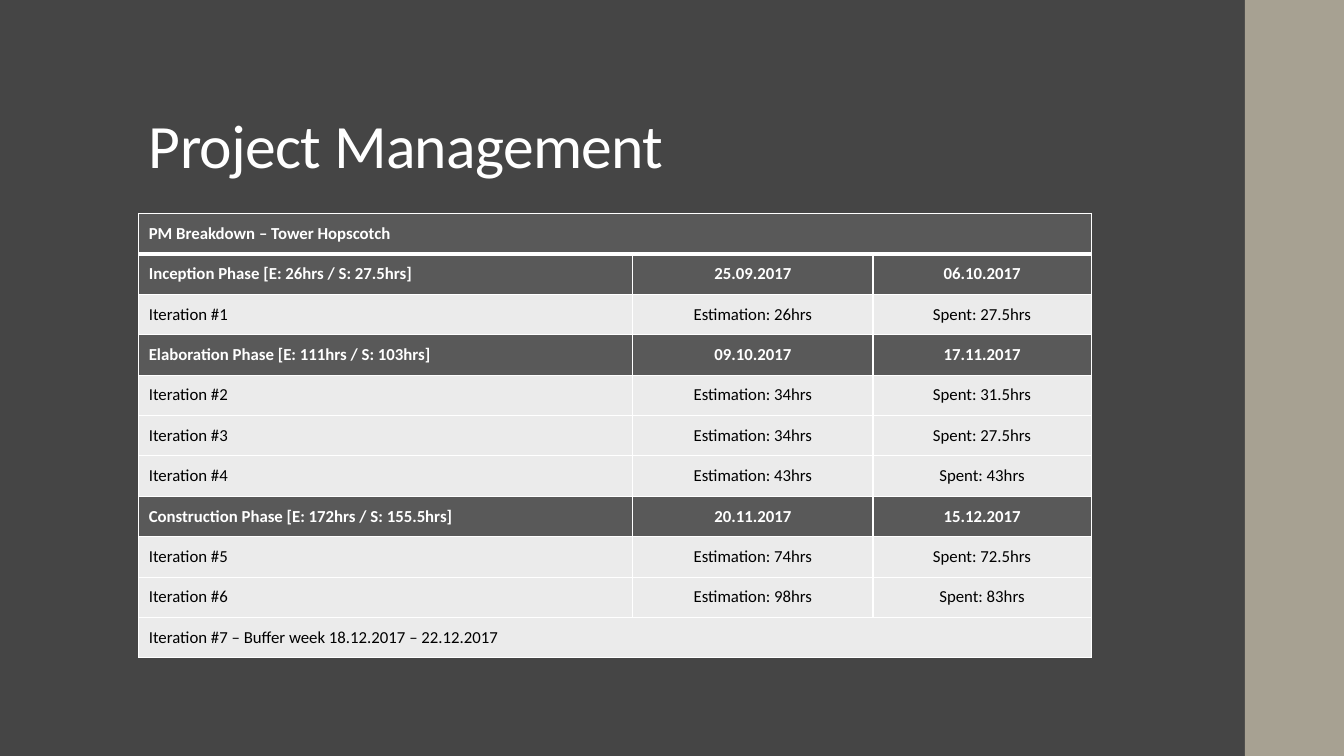
from pptx import Presentation
from pptx.dml.color import RGBColor as RGB
from pptx.enum.shapes import MSO_SHAPE as Shape
from pptx.enum.text import MSO_ANCHOR as Anchor, PP_ALIGN as Align
from pptx.oxml.ns import qn
from pptx.util import Cm, Pt
from lxml.etree import SubElement as Sub

FONT = "Calibri"
WHITE, BLACK, DARK, PALE = "FFFFFF", "000000", "595959", "EBEBEB"
BACK, SAND = "454545", "A7A192"
COLS = (12.45, 6.05, 5.5)
HEAD = {"size": Pt(12), "name": FONT, "bold": True}
BODY = {"size": Pt(12), "name": FONT, "bold": False}

# Each row: is it a heading, then its cells; one cell spans the table
ROWS = [
    (True, "PM Breakdown – Tower Hopscotch"),
    (True, "Inception Phase [E: 26hrs / S: 27.5hrs]", "25.09.2017", "06.10.2017"),
    (False, "Iteration #1", "Estimation: 26hrs", "Spent: 27.5hrs"),
    (True, "Elaboration Phase [E: 111hrs / S: 103hrs]", "09.10.2017", "17.11.2017"),
    (False, "Iteration #2", "Estimation: 34hrs", "Spent: 31.5hrs"),
    (False, "Iteration #3", "Estimation: 34hrs", "Spent: 27.5hrs"),
    (False, "Iteration #4", "Estimation: 43hrs", "Spent: 43hrs"),
    (True, "Construction Phase [E: 172hrs / S: 155.5hrs]", "20.11.2017", "15.12.2017"),
    (False, "Iteration #5", "Estimation: 74hrs", "Spent: 72.5hrs"),
    (False, "Iteration #6", "Estimation: 98hrs", "Spent: 83hrs"),
    (False, "Iteration #7 – Buffer week 18.12.2017 – 22.12.2017"),
]


def paint(fill, tone):
    fill.solid()
    fill.fore_color.rgb = RGB.from_string(tone)


def apply(item, style):
    for key, val in style.items():
        setattr(item, key, val)


def write(para, text, style, tone):
    run = para.add_run()
    run.text = text
    apply(run.font, style)
    run.font.color.rgb = RGB.from_string(tone)
    return run


def edge(cell, side, width):
    line = Sub(cell._tc.get_or_add_tcPr(), qn(f"a:ln{side}"), w=str(Pt(width)))
    Sub(Sub(line, qn("a:solidFill")), qn("a:srgbClr"), val=WHITE)


# Side band
def add_band(slide, x, y, w, h):
    band = slide.shapes.add_shape(Shape.RECTANGLE, Cm(x), Cm(y), Cm(w), Cm(h))
    band.shadow.inherit = False
    paint(band.fill, SAND)
    band.line.fill.background()


# Title
def add_title(slide, x, y, w, h):
    title = slide.shapes.title
    apply(title, {"left": Cm(x), "top": Cm(y), "width": Cm(w), "height": Cm(h)})
    frame = title.text_frame
    apply(frame, {"vertical_anchor": Anchor.BOTTOM, "word_wrap": True})
    para = frame.paragraphs[0]
    apply(para, {"alignment": Align.LEFT, "line_spacing": 0.9})
    run = write(para, "Project Management", {"size": Pt(44), "name": FONT}, WHITE)
    run._r.get_or_add_rPr().set("spc", "-50")


# Phase table
def add_plan(slide, x, y, w, h):
    grid = slide.shapes.add_table(
        len(ROWS), len(COLS), Cm(x), Cm(y), Cm(w), Cm(h)).table
    for col, size in zip(grid.columns, COLS):
        col.width = Cm(w * size / sum(COLS))
    for r, (head, *texts) in enumerate(ROWS):
        for c in range(len(COLS)):
            cell = grid.cell(r, c)
            apply(cell, {f"margin_{side}": Cm(0.25)
                         for side in ("left", "right", "top", "bottom")})
            # A thick rule parts the first row from the rest
            thick = {0: "B", 1: "T"}.get(r)
            for side in "LRTB":
                edge(cell, side, 3 if side == thick else 1)
            paint(cell.fill, DARK if head else PALE)
            if c < len(texts):
                para = cell.text_frame.paragraphs[0]
                para.alignment = Align.CENTER if c else Align.LEFT
                write(para, texts[c], HEAD if head else BODY,
                      WHITE if head else BLACK)
        if len(texts) == 1:
            grid.cell(r, 0).merge(grid.cell(r, len(COLS) - 1))


def main():
    deck = Presentation()
    apply(deck, {"slide_width": Cm(33.87), "slide_height": Cm(19.05)})
    slide = deck.slides.add_slide(deck.slide_layouts[5])
    paint(slide.background.fill, BACK)
    add_band(slide, 31.37, 0, 2.5, 19.05)
    add_title(slide, 3.5, 1.02, 26.92, 3.68)
    add_plan(slide, 3.5, 5.38, 24, 11.2)
    deck.save("out.pptx")


if __name__ == "__main__":
    main()
